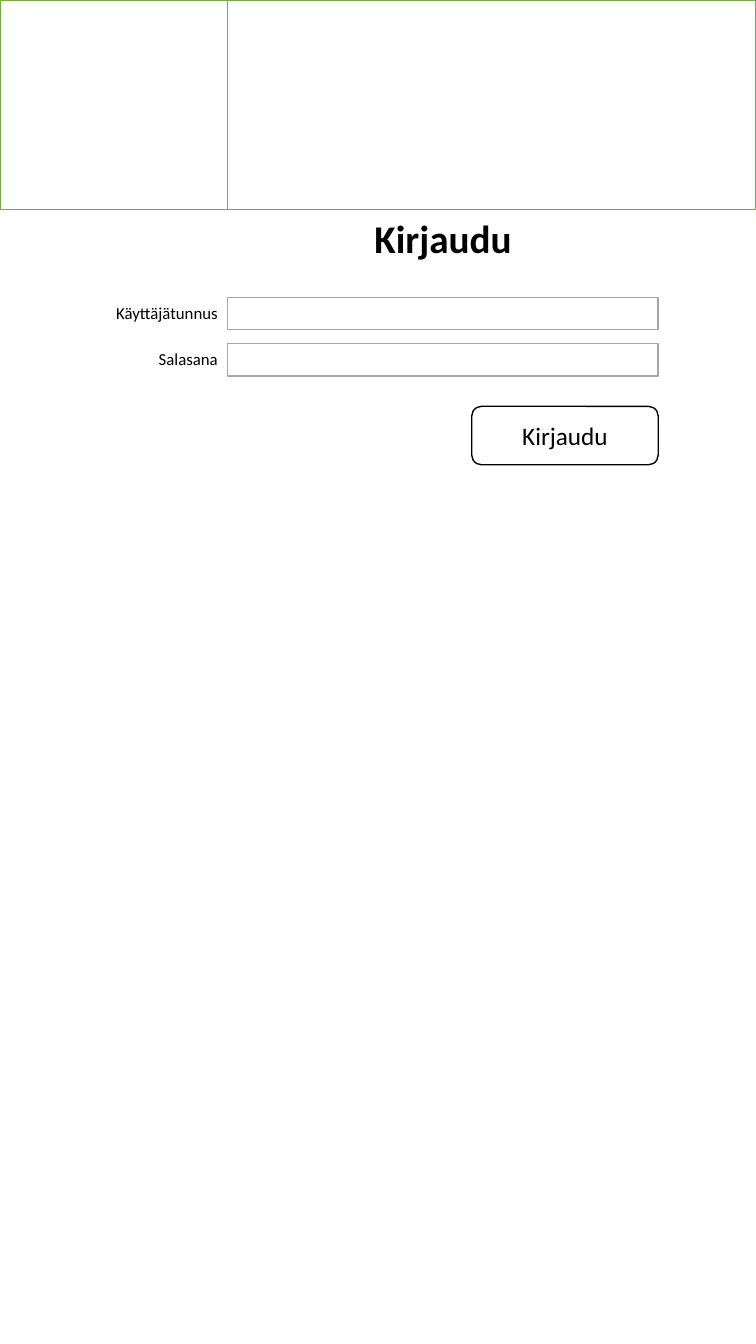
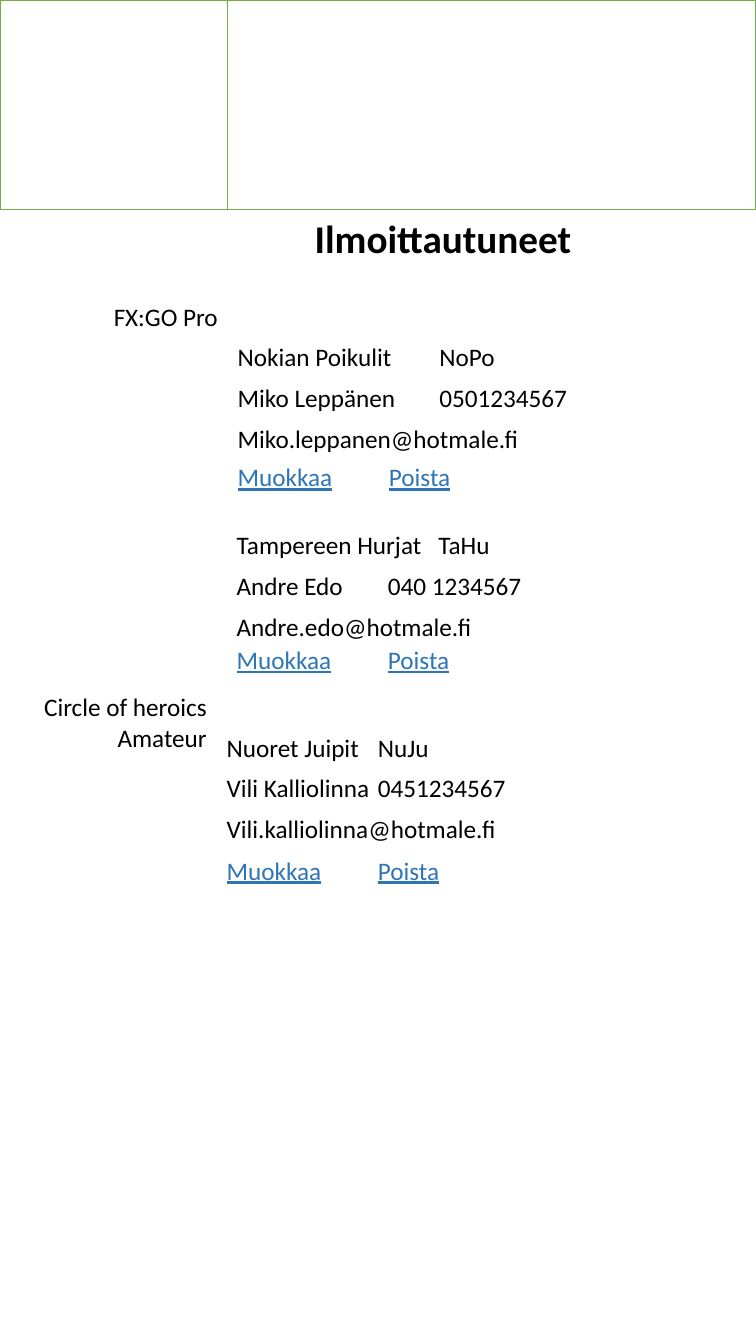
from dataclasses import dataclass

from pptx import Presentation
from pptx.dml.color import RGBColor
from pptx.enum.shapes import MSO_SHAPE
from pptx.enum.text import MSO_ANCHOR, MSO_AUTO_SIZE, PP_ALIGN
from pptx.shapes.autoshape import Shape
from pptx.slide import Slide
from pptx.text.text import TextFrame, _Paragraph
from pptx.util import Inches, Pt


@dataclass(frozen=True)
class Theme:
    """Colours, type and line sizes of the deck."""
    font: str = "Calibri"
    ink: str = "000000"
    paper: str = "FFFFFF"
    frame: str = "70AD47"
    field: str = "A6A6A6"
    link: str = "2E75B6"
    title_size: int = 28
    body_size: int = 18
    label_size: int = 12
    line_width: int = 1


@dataclass(frozen=True)
class Area:
    """Place and size in inches."""
    left: float
    top: float
    width: float
    height: float


@dataclass(frozen=True)
class Team:
    """One registered team and where its rows start."""
    name: str
    short_name: str
    contact: str
    phone: str
    email: str
    left: float
    top: float
    link_top: float


@dataclass(frozen=True)
class Division:
    """A heading beside the team list."""
    name: str
    area: Area


THEME = Theme()
PAGE_WIDTH, PAGE_HEIGHT = 7.5, 13.33
COLUMN = 2.26
HEADER_HEIGHT = 2.08
CONTENT_WIDTH = 4.27
ROW_HEIGHT = 0.4
ROW_PITCH = 0.405
ROW_WIDTH = 4.86
FIELD_TOP, FIELD_PITCH, FIELD_HEIGHT = 2.95, 0.46, 0.32
FIELD_LABELS = ("Käyttäjätunnus", "Salasana")
DIVISIONS = (
    Division("FX:GO Pro", Area(0.11, 2.94, 2.15, 0.4)),
    Division("Circle of heroics Amateur", Area(0, 6.81, 2.15, 0.71)),
)
TEAMS = (
    Team("Nokian Poikulit", "NoPo", "Miko Leppänen", "0501234567",
         "Miko.leppanen@hotmale.fi", 2.26, 3.34, 4.53),
    Team("Tampereen Hurjat", "TaHu", "Andre Edo", "040 1234567",
         "Andre.edo@hotmale.fi", 2.25, 5.2, 6.34),
    Team("Nuoret Juipit", "NuJu", "Vili Kalliolinna", "0451234567",
         "Vili.kalliolinna@hotmale.fi", 2.15, 7.21, 8.43),
)


def emu(area: Area) -> tuple[int, int, int, int]:
    """Convert an area to slide lengths."""
    return (Inches(area.left), Inches(area.top),
            Inches(area.width), Inches(area.height))


def add_span(para: _Paragraph, text: str, size: int, color: str = THEME.ink,
             bold: bool = False, underline: bool = False) -> None:
    """Append one formatted run."""
    span = para.add_run()
    span.text = text
    span.font.name = THEME.font
    span.font.size = Pt(size)
    span.font.bold = bold
    span.font.underline = underline
    span.font.color.rgb = RGBColor.from_string(color)


def prepare_frame(frame: TextFrame, align: PP_ALIGN) -> _Paragraph:
    """Set wrapping, fit and alignment, and return the first paragraph."""
    frame.word_wrap = True
    frame.auto_size = MSO_AUTO_SIZE.SHAPE_TO_FIT_TEXT
    frame.vertical_anchor = MSO_ANCHOR.TOP
    para = frame.paragraphs[0]
    para.alignment = align
    return para


def add_line(page: Slide, area: Area,
             align: PP_ALIGN = PP_ALIGN.LEFT) -> _Paragraph:
    """Add a text box and return its empty paragraph."""
    box = page.shapes.add_textbox(*emu(area))
    return prepare_frame(box.text_frame, align)


def add_box(page: Slide, area: Area, line: str,
            kind: MSO_SHAPE = MSO_SHAPE.RECTANGLE) -> Shape:
    """Add an outlined box with the paper colour inside."""
    box = page.shapes.add_shape(kind, *emu(area))
    box.shadow.inherit = False
    box.fill.solid()
    box.fill.fore_color.rgb = RGBColor.from_string(THEME.paper)
    box.line.color.rgb = RGBColor.from_string(line)
    box.line.width = Pt(THEME.line_width)
    return box


def add_page(deck: Presentation, heading: str) -> Slide:
    """Add a page with the shared header boxes and title."""
    page = deck.slides.add_slide(deck.slide_layouts[5])
    add_box(page, Area(0, 0, COLUMN, HEADER_HEIGHT), THEME.frame)
    add_box(page, Area(COLUMN, 0, PAGE_WIDTH - COLUMN, HEADER_HEIGHT), THEME.frame)
    title = page.shapes.title
    title.left, title.top, title.width, title.height = emu(
        Area(COLUMN, HEADER_HEIGHT, CONTENT_WIDTH, 0.57))
    para = prepare_frame(title.text_frame, PP_ALIGN.CENTER)
    add_span(para, heading, THEME.title_size, bold=True)
    return page


def add_login_form(page: Slide) -> None:
    """Draw the labelled fields and the login button."""
    for index, label in enumerate(FIELD_LABELS):
        top = FIELD_TOP + index * FIELD_PITCH
        add_box(page, Area(COLUMN, top, CONTENT_WIDTH, FIELD_HEIGHT), THEME.field)
        para = add_line(page, Area(0.52, top, 1.74, 0.3), PP_ALIGN.RIGHT)
        add_span(para, label, THEME.label_size)
    button = add_box(page, Area(4.68, 4.03, 1.85, 0.58), THEME.ink,
                     MSO_SHAPE.ROUNDED_RECTANGLE)
    button.text_frame.vertical_anchor = MSO_ANCHOR.MIDDLE
    para = button.text_frame.paragraphs[0]
    para.alignment = PP_ALIGN.CENTER
    add_span(para, "Kirjaudu", THEME.body_size)


def add_team(page: Slide, team: Team) -> None:
    """Draw a team's details and its edit and delete links."""
    rows = (f"{team.name}\t{team.short_name}",
            f"{team.contact}\t{team.phone}", team.email)
    for index, text in enumerate(rows):
        top = team.top + index * ROW_PITCH
        para = add_line(page, Area(team.left, top, ROW_WIDTH, ROW_HEIGHT))
        add_span(para, text, THEME.body_size)
    links = add_line(page, Area(team.left, team.link_top, ROW_WIDTH, ROW_HEIGHT))
    add_span(links, "Muokkaa", THEME.body_size, THEME.link, underline=True)
    add_span(links, "\t\t", THEME.body_size)
    add_span(links, "Poista", THEME.body_size, THEME.link, underline=True)


def add_registrations(page: Slide) -> None:
    """Draw the divisions and their teams."""
    for division in DIVISIONS:
        para = add_line(page, division.area, PP_ALIGN.RIGHT)
        add_span(para, division.name, THEME.body_size)
    for team in TEAMS:
        add_team(page, team)


def main() -> None:
    """Build and save the deck."""
    deck = Presentation()
    deck.slide_width, deck.slide_height = Inches(PAGE_WIDTH), Inches(PAGE_HEIGHT)
    add_login_form(add_page(deck, "Kirjaudu"))
    add_registrations(add_page(deck, "Ilmoittautuneet"))
    deck.save("out.pptx")


main()
